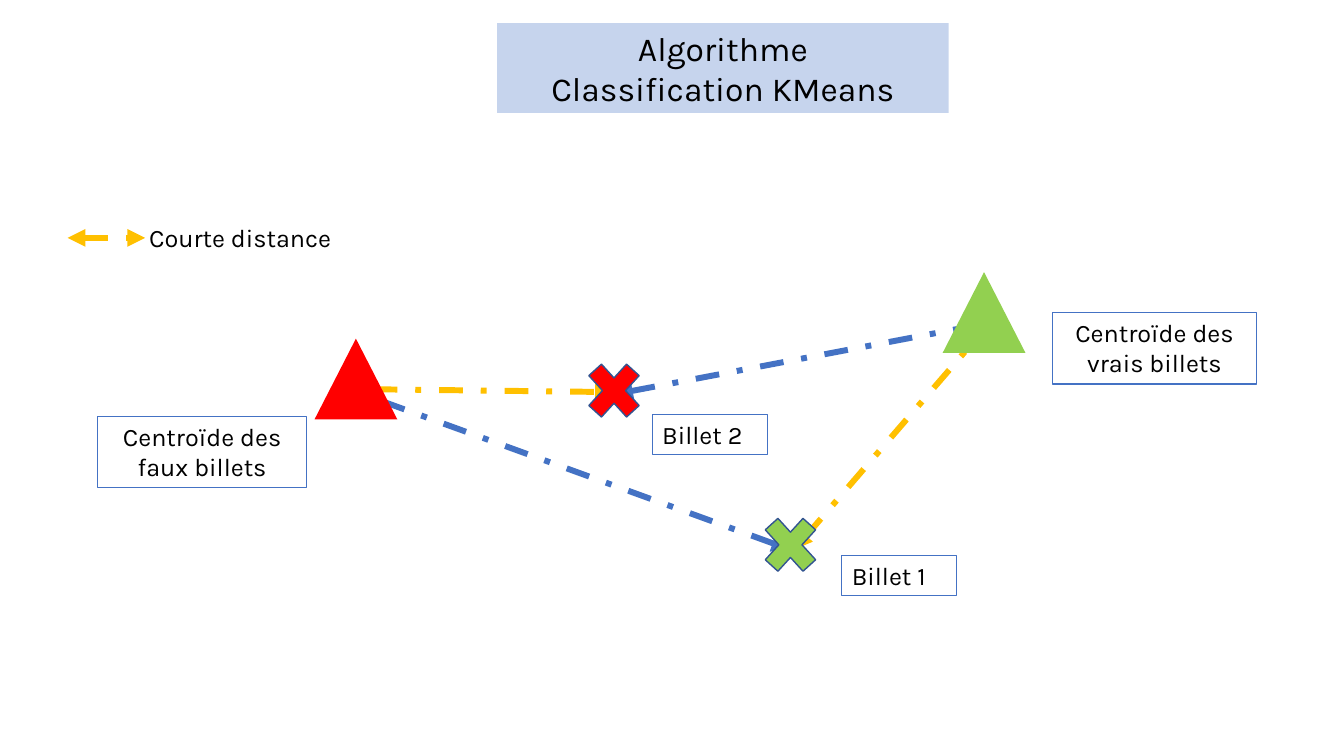
from dataclasses import dataclass

from lxml import etree
from pptx import Presentation
from pptx.dml.color import RGBColor
from pptx.enum.dml import MSO_LINE
from pptx.enum.shapes import MSO_CONNECTOR, MSO_SHAPE
from pptx.enum.text import MSO_ANCHOR, PP_ALIGN
from pptx.oxml.ns import qn
from pptx.util import Inches, Pt

RECT, TRIANGLE, CROSS = MSO_SHAPE.RECTANGLE, MSO_SHAPE.ISOSCELES_TRIANGLE, MSO_SHAPE.MATH_MULTIPLY
STRAIGHT, DASH_DOT = MSO_CONNECTOR.STRAIGHT, MSO_LINE.DASH_DOT
LEFT, CENTER = PP_ALIGN.LEFT, PP_ALIGN.CENTER
TOP, MIDDLE = MSO_ANCHOR.TOP, MSO_ANCHOR.MIDDLE


@dataclass(frozen=True)
class Theme:
    """Colours, font and sizes of the slide."""
    text: str = "000000"
    blue: str = "4472C4"
    outline: str = "325491"
    short: str = "FFC000"
    genuine: str = "92D050"
    fake: str = "FF0000"
    font: str = "Karla"
    title_size: int = 24
    body_size: int = 18
    title_alpha: int = 30
    arrow_width: float = 4.25
    border_width: float = 0.75
    cross_width: float = 1


THEME = Theme()


def add_text(sp, lines, size, align=LEFT, anchor=TOP):
    """Write the lines into a shape, one paragraph each."""
    tf = sp.text_frame
    for name, value in {"word_wrap": True, "vertical_anchor": anchor}.items():
        setattr(tf, name, value)
    for i, line in enumerate(lines):
        p = tf.paragraphs[0] if i == 0 else tf.add_paragraph()
        p.alignment = align
        r = p.add_run()
        r.text = line
        for name, value in {"name": THEME.font, "size": Pt(size)}.items():
            setattr(r.font, name, value)
        r.font.color.rgb = RGBColor.from_string(THEME.text)


def add_box(s, kind, box, fill=None, line=None, width=0):
    """Add a preset shape with an optional fill and outline."""
    sp = s.shapes.add_shape(kind, *map(Inches, box))
    sp.shadow.inherit = False
    if fill:
        sp.fill.solid()
        sp.fill.fore_color.rgb = RGBColor.from_string(fill)
    else:
        sp.fill.background()
    if line:
        sp.line.color.rgb = RGBColor.from_string(line)
        sp.line.width = Pt(width)
    else:
        sp.line.fill.background()
    return sp


def add_label(s, box, text, align=LEFT):
    """Add a framed label."""
    sp = add_box(s, RECT, box, line=THEME.blue, width=THEME.border_width)
    add_text(sp, [text], THEME.body_size, align)


def add_distance(s, start, end, color):
    """Add a dashed arrow with a head at both ends."""
    cx = s.shapes.add_connector(STRAIGHT, *map(Inches, (*start, *end)))
    cx.line.color.rgb = RGBColor.from_string(color)
    for name, value in {"width": Pt(THEME.arrow_width), "dash_style": DASH_DOT}.items():
        setattr(cx.line, name, value)
    ln = cx.line._get_or_add_ln()
    for end_tag in ("a:headEnd", "a:tailEnd"):
        etree.SubElement(ln, qn(end_tag), type="triangle")
    etree.SubElement(cx._element.spPr, qn("a:effectLst"))


def add_title(s, box):
    """Add the translucent title band."""
    sp = add_box(s, RECT, box, fill=THEME.blue)
    color = sp._element.spPr.find(qn("a:solidFill"))[0]
    etree.SubElement(color, qn("a:alpha"), val=str(THEME.title_alpha * 1000))
    add_text(sp, ["Algorithme", "Classification KMeans"], THEME.title_size, CENTER, MIDDLE)


def add_legend(s, box):
    """Add the sample arrow and its meaning."""
    x, y, w, h = box
    arrow, text_offset = 0.77, 0.71
    add_distance(s, (x, y + h / 2), (x + arrow, y + h / 2), THEME.short)
    sp = s.shapes.add_textbox(*map(Inches, (x + text_offset, y, w - text_offset, h)))
    add_text(sp, ["Courte distance"], THEME.body_size)


def add_centroid(s, origin, color, text, label_box):
    """Add a centroid triangle with a label placed relative to it."""
    x, y = origin
    dx, dy, w, h = label_box
    add_box(s, TRIANGLE, (x, y, 0.82, 0.8), fill=color)
    add_label(s, (x + dx, y + dy, w, h), text, CENTER)


def add_note(s, origin, color, text, label_offset):
    """Add a banknote cross with a label placed relative to it."""
    x, y = origin
    dx, dy = label_offset
    add_box(s, CROSS, (x, y, 0.72, 0.79), color, THEME.outline, THEME.cross_width)
    add_label(s, (x + dx, y + dy, 1.14, 0.4), text)


def add_diagram(s, box):
    """Add distances, centroids and banknotes inside the box."""
    x, y = box[:2]
    distances = [
        ((4.76, 2.75), (6.64, 0.57), THEME.short),
        ((4.71, 2.75), (0.42, 1.19), THEME.blue),
        ((0.42, 1.16), (2.96, 1.19), THEME.short),
        ((2.98, 1.21), (6.66, 0.51), THEME.blue),
    ]
    for (x1, y1), (x2, y2), color in distances:
        add_distance(s, (x + x1, y + y1), (x + x2, y + y2), color)
    add_centroid(s, (x + 6.23, y), THEME.genuine,
                 "Centroïde des vrais billets", (1.09, 0.4, 2.02, 0.71))
    add_centroid(s, (x, y + 0.66), THEME.fake,
                 "Centroïde des faux billets", (-2.15, 0.77, 2.07, 0.71))
    add_note(s, (x + 4.36, y + 2.31), THEME.genuine, "Billet 1", (0.87, 0.5))
    add_note(s, (x + 2.61, y + 0.78), THEME.fake, "Billet 2", (0.74, 0.63))


def main():
    """Build and save the slide."""
    prs = Presentation()
    prs.slide_width, prs.slide_height = Inches(13.33), Inches(7.5)
    s = prs.slides.add_slide(prs.slide_layouts[6])
    add_title(s, (4.93, 0.23, 4.48, 0.89))
    add_diagram(s, (3.12, 2.7, 9.34, 3.21))
    add_legend(s, (0.67, 2.16, 3.03, 0.4))
    prs.save("out.pptx")


if __name__ == "__main__":
    main()
